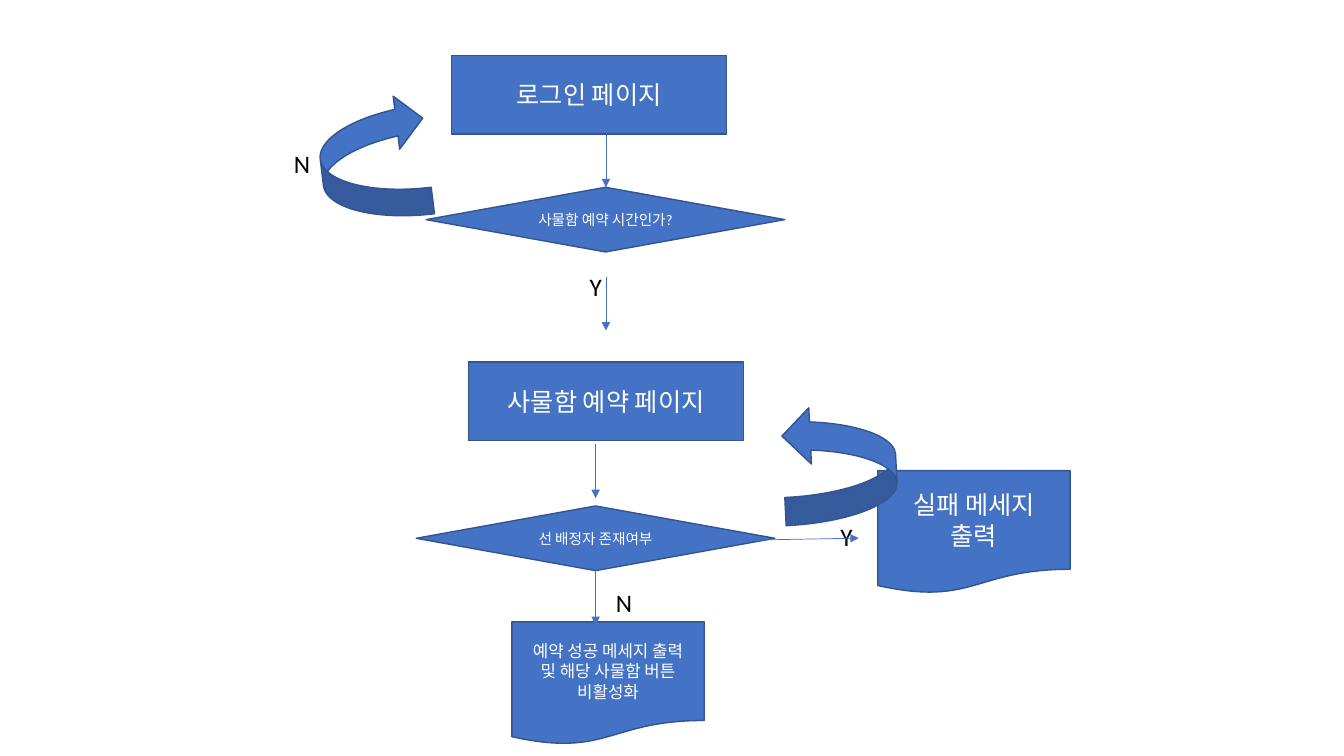
"""Flowchart of the locker reservation process."""
from typing import NamedTuple

import lxml.etree
import pptx
import pptx.dml.color
import pptx.enum.shapes
import pptx.enum.text
import pptx.oxml.ns
import pptx.shapes.autoshape
import pptx.slide
import pptx.util

Cm = pptx.util.Cm
Pt = pptx.util.Pt
SHAPE = pptx.enum.shapes.MSO_SHAPE

BLUE = pptx.dml.color.RGBColor(0x44, 0x72, 0xC4)
OUTLINE = pptx.dml.color.RGBColor(0x32, 0x54, 0x91)
WHITE = pptx.dml.color.RGBColor(0xFF, 0xFF, 0xFF)
BLACK = pptx.dml.color.RGBColor(0x00, 0x00, 0x00)
FONT = "Calibri"

# Width and height in centimetres of each kind of step
STEP_SIZES = {
    SHAPE.RECTANGLE: (6.93, 1.98),
    SHAPE.DIAMOND: (9.04, 1.63),
    SHAPE.FLOWCHART_DOCUMENT: (4.85, 3.1),
}


class Step(NamedTuple):
    """A page, decision or message; position in centimetres."""
    kind: SHAPE
    left: float
    top: float
    font_size: float
    text: str


class Answer(NamedTuple):
    """A Y or N label beside a branch."""
    text: str
    left: float
    top: float
    width: float = 2.79


class Flow(NamedTuple):
    """A straight arrow between two points."""
    start_x: float
    start_y: float
    end_x: float
    end_y: float


class ReturnArrow(NamedTuple):
    """A curved arrow leading back to an earlier step."""
    kind: SHAPE
    left: float
    top: float
    width: float
    height: float
    rotation: float


STEPS = [
    Step(SHAPE.RECTANGLE, 11.38, 1.4, 18, "로그인 페이지"),
    Step(SHAPE.RECTANGLE, 11.81, 9.12, 18, "사물함 예약 페이지"),
    Step(SHAPE.DIAMOND, 10.74, 4.72, 10.5, "사물함 예약 시간인가?"),
    Step(SHAPE.DIAMOND, 10.49, 12.75, 10.5, "선 배정자 존재여부"),
    Step(SHAPE.FLOWCHART_DOCUMENT, 12.9, 15.67, 12,
         "예약 성공 메세지 출력\n및 해당 사물함 버튼 비활성화"),
    Step(SHAPE.FLOWCHART_DOCUMENT, 22.12, 11.86, 18, "실패 메세지 출력"),
]
ANSWERS = [
    Answer("Y", 14.61, 6.71),
    Answer("N", 7.16, 3.61),
    Answer("N", 15.27, 14.68, width=16.94),
    Answer("Y", 20.93, 13),
]
FLOWS = [
    Flow(15.27, 3.38, 15.27, 4.72),
    Flow(15.27, 6.99, 15.27, 8.33),
    Flow(15.01, 11.2, 15.01, 12.55),
    Flow(15.01, 14.38, 15.01, 15.75),
    Flow(18.9, 13.61, 21.64, 13.56),
]
RETURN_ARROWS = [
    ReturnArrow(SHAPE.CURVED_RIGHT_ARROW, 19.74, 10.21, 2.84, 2.97, 177.3),
    ReturnArrow(SHAPE.CURVED_LEFT_ARROW, 8.08, 2.46, 2.69, 3.1, 173),
]


def add_blue_shape(slide: pptx.slide.Slide, kind: SHAPE, left: float, top: float,
                   width: float, height: float) -> pptx.shapes.autoshape.Shape:
    """Add a flat blue shape with a dark outline."""
    shape = slide.shapes.add_shape(kind, Cm(left), Cm(top), Cm(width), Cm(height))
    shape.shadow.inherit = False
    shape.fill.solid()
    shape.fill.fore_color.rgb = BLUE
    shape.line.color.rgb = OUTLINE
    shape.line.width = Pt(1)
    return shape


def write_text(shape: pptx.shapes.autoshape.Shape, text: str, size: float,
               color: pptx.dml.color.RGBColor, alignment: pptx.enum.text.PP_ALIGN) -> None:
    """Fill a shape with wrapped, formatted paragraphs."""
    shape.text_frame.word_wrap = True
    shape.text_frame.text = text
    for paragraph in shape.text_frame.paragraphs:
        paragraph.alignment = alignment
        paragraph.font.name = FONT
        paragraph.font.size = Pt(size)
        paragraph.font.color.rgb = color


def add_step(slide: pptx.slide.Slide, step: Step) -> None:
    """Draw one step with its centred text."""
    shape = add_blue_shape(slide, step.kind, step.left, step.top, *STEP_SIZES[step.kind])
    write_text(shape, step.text, step.font_size, WHITE, pptx.enum.text.PP_ALIGN.CENTER)
    shape.text_frame.vertical_anchor = pptx.enum.text.MSO_ANCHOR.MIDDLE


def add_answer(slide: pptx.slide.Slide, answer: Answer) -> None:
    """Draw one branch label."""
    box = slide.shapes.add_textbox(Cm(answer.left), Cm(answer.top), Cm(answer.width), Cm(1.02))
    write_text(box, answer.text, 18, BLACK, pptx.enum.text.PP_ALIGN.LEFT)
    box.text_frame.auto_size = pptx.enum.text.MSO_AUTO_SIZE.SHAPE_TO_FIT_TEXT


def add_flow(slide: pptx.slide.Slide, flow: Flow) -> None:
    """Draw one straight arrow with a triangular head and no shadow."""
    connector = slide.shapes.add_connector(
        pptx.enum.shapes.MSO_CONNECTOR.STRAIGHT, *(Cm(value) for value in flow))
    connector.line.color.rgb = BLUE
    connector.line.width = Pt(0.5)
    qn = pptx.oxml.ns.qn
    properties = connector.element.spPr
    lxml.etree.SubElement(properties.find(qn("a:ln")), qn("a:tailEnd"), type="triangle")
    lxml.etree.SubElement(properties, qn("a:effectLst"))


def add_return_arrow(slide: pptx.slide.Slide, arrow: ReturnArrow) -> None:
    """Draw one curved arrow."""
    *placement, rotation = arrow
    add_blue_shape(slide, *placement).rotation = rotation


def main() -> None:
    """Build and save the slide."""
    presentation = pptx.Presentation()
    presentation.slide_width = Cm(33.87)
    presentation.slide_height = Cm(19.05)
    slide = presentation.slides.add_slide(presentation.slide_layouts[6])
    for step in STEPS:
        add_step(slide, step)
    for answer in ANSWERS:
        add_answer(slide, answer)
    for flow in FLOWS:
        add_flow(slide, flow)
    for arrow in RETURN_ARROWS:
        add_return_arrow(slide, arrow)
    presentation.save("out.pptx")


main()
